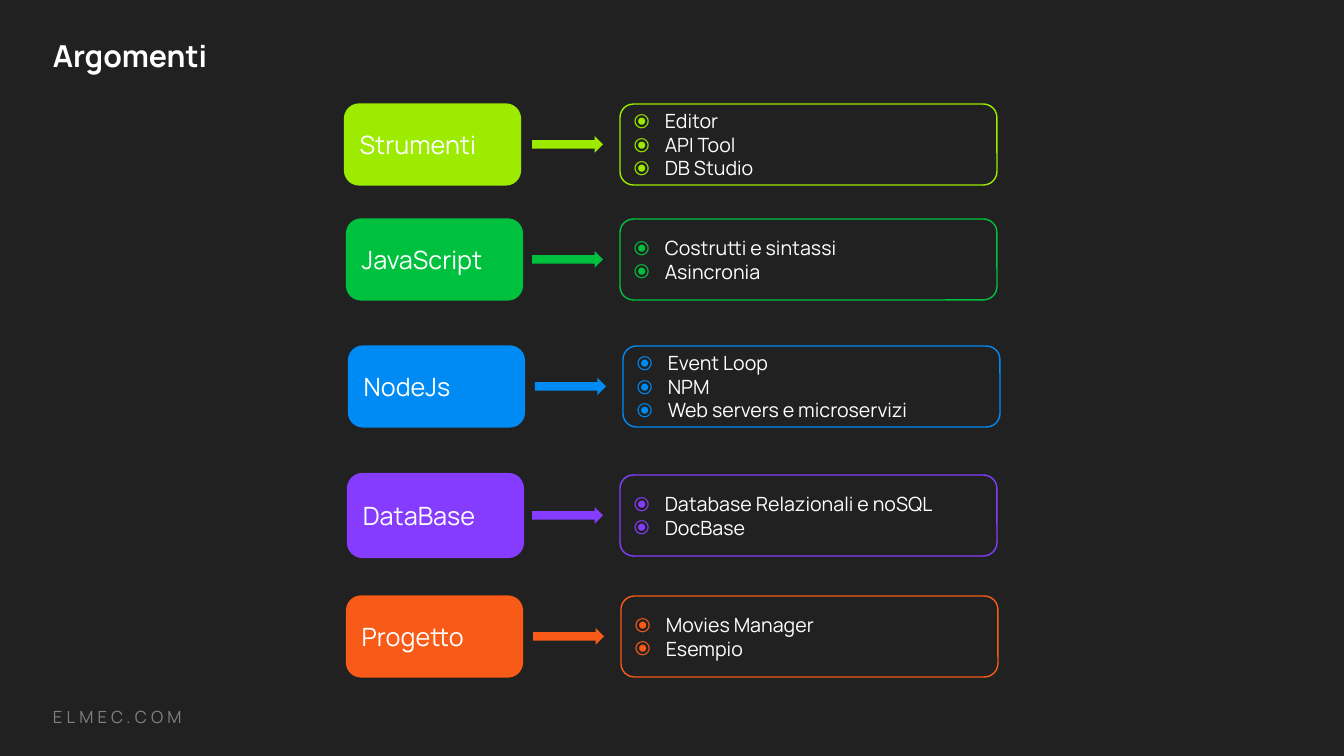
from pptx import Presentation
from pptx.dml.color import RGBColor
from pptx.enum.shapes import MSO_SHAPE
from pptx.enum.text import MSO_ANCHOR
from pptx.oxml import parse_xml
from pptx.oxml.ns import nsdecls
from pptx.util import Pt

SCALE = 12192000 / 1344  # EMU per px
FONT = "Manrope"
COLORS = {
    "back": "212121", "text": "FEFFFF", "foot": "808080",
    "lime": "9CEB00", "green": "00C13E", "blue": "008AF3",
    "violet": "863CFF", "orange": "F75B17",
}
# colour, box of the row, label height, label, topics
ROWS = [
    ("lime", (346, 104, 651, 81), 78, "Strumenti", ["Editor", "API Tool", "DB Studio"]),
    ("green", (348, 219, 649, 81), 78, "JavaScript", ["Costrutti e sintassi", "Asincronia"]),
    ("blue", (350, 346, 650, 81), 78, "NodeJs",
     ["Event Loop", "NPM", "Web servers e microservizi"]),
    ("violet", (349, 475, 648, 81), 81, "DataBase",
     ["Database Relazionali e noSQL", "DocBase"]),
    ("orange", (348, 596, 650, 81), 78, "Progetto", ["Movies Manager", "Esempio"]),
]
LABEL, LIST, ARROW, GAP, INDENT = 173, 377, 71, 17, 31


def px(*vals):
    return [round(v * SCALE) for v in vals]


def rgb(name):
    return RGBColor.from_string(COLORS[name])


def style(font, color="text", **form):
    font.color.rgb = rgb(color)
    for key, val in {"name": FONT, **form}.items():
        setattr(font, key, val)


def bullet(props, color):
    step = px(INDENT)[0]
    props.set("marL", str(step))
    props.set("indent", str(-step))
    space = nsdecls("a")
    for part in (
        f'<a:buClr {space}><a:srgbClr val="{COLORS[color]}"/></a:buClr>',
        f'<a:buFont {space} typeface="{FONT}"/>',
        f'<a:buChar {space} char="⦿"/>',
    ):
        props.append(parse_xml(part))


def write(shape, lines, dot=None, **form):
    frame = shape.text_frame
    frame.word_wrap = True
    frame.vertical_anchor = MSO_ANCHOR.MIDDLE
    frame.text = "\n".join(lines)
    for para in frame.paragraphs:
        props = para._p.get_or_add_pPr()
        props.set("algn", "l")
        if dot:
            bullet(props, dot)
        for run in para.runs:
            style(run.font, **form)
    return frame


def block(slide, kind, box, fill, line=None, width=1):
    shape = slide.shapes.add_shape(kind, *px(*box))
    shape.shadow.inherit = False
    shape.fill.solid()
    shape.fill.fore_color.rgb = rgb(fill)
    if line:
        shape.line.color.rgb = rgb(line)
        shape.line.width = Pt(width)
    else:
        shape.line.fill.background()
    return shape


def caption(slide, box, text, **form):
    return write(slide.shapes.add_textbox(*px(*box)), [text], **form)


def topic(slide, box, color, tall, name, items):
    left, top, width, high = box
    mid = top + high / 2
    start = left + width - LIST
    # Filled label
    tag = block(slide, MSO_SHAPE.ROUNDED_RECTANGLE,
                (left, mid - tall / 2, LABEL, tall), color, color, 3)
    write(tag, [name], size=Pt(18))
    # Arrow between label and list
    block(slide, MSO_SHAPE.RIGHT_ARROW,
          (start - GAP - ARROW, mid - GAP / 2, ARROW, GAP), color)
    # Outlined list
    panel = block(slide, MSO_SHAPE.ROUNDED_RECTANGLE,
                  (start, top, LIST, high), "back", color)
    write(panel, items, color, size=Pt(14))


def main():
    deck = Presentation()
    deck.slide_width, deck.slide_height = px(1344, 756)
    slide = deck.slides.add_slide(deck.slide_layouts[6])
    slide.background.fill.solid()
    slide.background.fill.fore_color.rgb = rgb("back")

    # Title and footer
    title = caption(slide, (43, 37, 1159, 42), "Argomenti", size=Pt(21.6), bold=True)
    title.paragraphs[0].line_spacing = 0.9
    foot = caption(slide, (43, 702, 672, 30), "ELMEC.COM", color="foot", size=Pt(12))
    foot.paragraphs[0].runs[0].font._element.set("spc", "300")

    # Topic rows
    for color, box, tall, name, items in ROWS:
        topic(slide, box, color, tall, name, items)
    deck.save("out.pptx")


if __name__ == "__main__":
    main()
